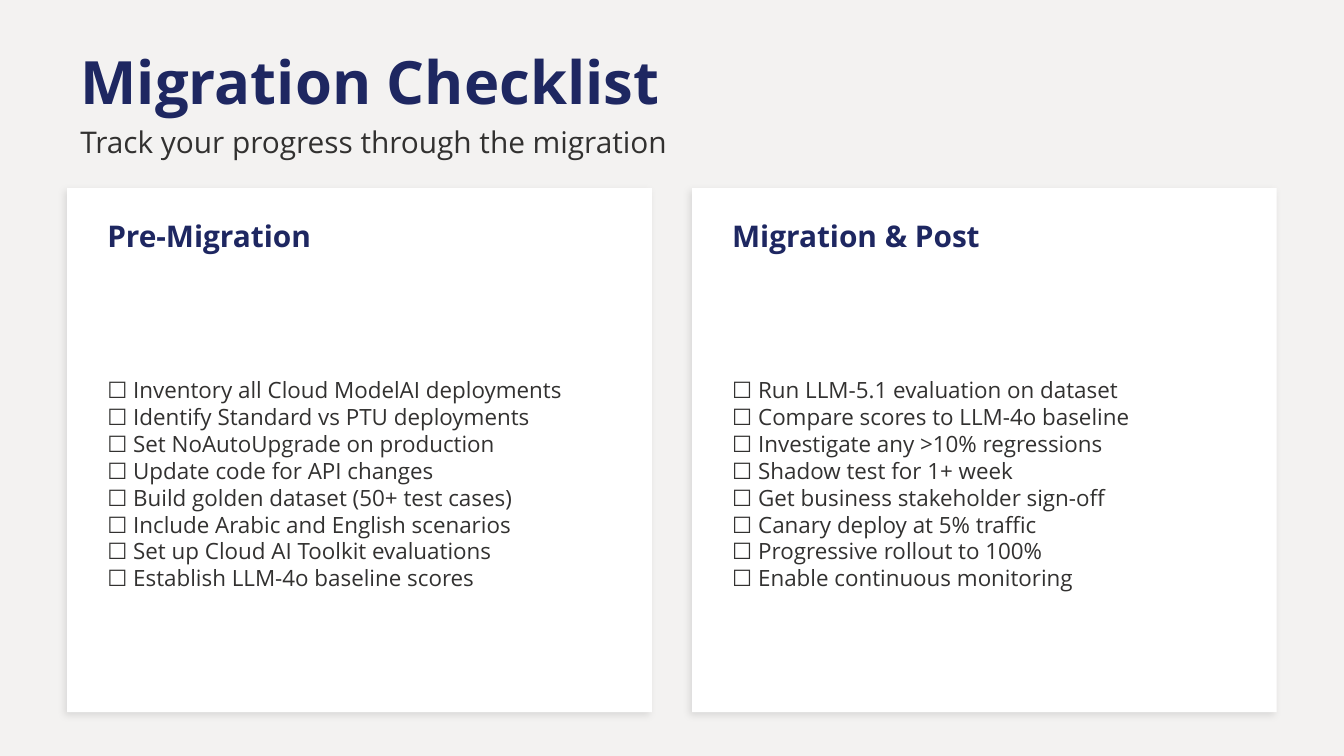
from lxml.etree import SubElement
from pptx import Presentation
from pptx.dml.color import RGBColor
from pptx.enum.shapes import MSO_SHAPE
from pptx.enum.text import MSO_ANCHOR, MSO_AUTO_SIZE, PP_ALIGN
from pptx.oxml.ns import qn
from pptx.util import Inches, Pt

COLORS = {
    "background": "F3F2F1",
    "heading": "1E2761",
    "body": "323130",
    "card": "FFFFFF",
    "shadow": "000000",
}
FORMATS = {
    "title": {"size": Pt(32), "bold": True, "color": "heading"},
    "subtitle": {"size": Pt(16), "bold": False, "color": "body"},
    "card_title": {"size": Pt(16), "bold": True, "color": "heading"},
    "item": {"size": Pt(12), "bold": False, "color": "body"},
}
CHECKLISTS = [
    ("Pre-Migration", [
        "Inventory all Cloud ModelAI deployments",
        "Identify Standard vs PTU deployments",
        "Set NoAutoUpgrade on production",
        "Update code for API changes",
        "Build golden dataset (50+ test cases)",
        "Include Arabic and English scenarios",
        "Set up Cloud AI Toolkit evaluations",
        "Establish LLM-4o baseline scores",
    ]),
    ("Migration & Post", [
        "Run LLM-5.1 evaluation on dataset",
        "Compare scores to LLM-4o baseline",
        "Investigate any >10% regressions",
        "Shadow test for 1+ week",
        "Get business stakeholder sign-off",
        "Canary deploy at 5% traffic",
        "Progressive rollout to 100%",
        "Enable continuous monitoring",
    ]),
]


def rgb(name):
    return RGBColor.from_string(COLORS[name])


def write_text(sp, lines, style):
    tf = sp.text_frame
    tf.word_wrap = True
    tf.auto_size = MSO_AUTO_SIZE.NONE
    tf.vertical_anchor = MSO_ANCHOR.MIDDLE
    for i, line in enumerate(lines):
        p = tf.paragraphs[0] if i == 0 else tf.add_paragraph()
        p.alignment = PP_ALIGN.LEFT
        r = p.add_run()
        r.text = line
        r.font.name = "Open Sans"
        for key, value in FORMATS[style].items():
            if key == "color":
                r.font.color.rgb = rgb(value)
            else:
                setattr(r.font, key, value)


def add_text(s, box, lines, style):
    sp = s.shapes.add_textbox(*map(Inches, box))
    write_text(sp, lines, style)


def add_soft_shadow(sp):
    sp.shadow.inherit = False
    effects = sp._element.spPr.find(qn("a:effectLst"))
    shadow = SubElement(effects, qn("a:outerShdw"), blurRad=str(Pt(4)),
                        dist=str(Pt(2)), dir=str(135 * 60000),
                        algn="bl", rotWithShape="0")
    color = SubElement(shadow, qn("a:srgbClr"), val=COLORS["shadow"])
    SubElement(color, qn("a:alpha"), val="10000")


def add_header(s, x, y, w):
    title = s.shapes.title
    title.left, title.top, title.width, title.height = map(Inches, (x, y, w, 0.6))
    write_text(title, ["Migration Checklist"], "title")
    add_text(s, (x, y + 0.55, w, 0.4),
             ["Track your progress through the migration"], "subtitle")


def add_checklist(s, x, y, w, h, heading, items):
    card = s.shapes.add_shape(MSO_SHAPE.RECTANGLE, *map(Inches, (x, y, w, h)))
    card.fill.solid()
    card.fill.fore_color.rgb = rgb("card")
    card.line.fill.background()
    add_soft_shadow(card)
    text_w = w - 0.35
    add_text(s, (x + 0.2, y + 0.15, text_w, 0.4), [heading], "card_title")
    add_text(s, (x + 0.2, y + 0.6, text_w, h - 0.7),
             [f"☐ {item}" for item in items], "item")


def main():
    prs = Presentation()
    prs.slide_width, prs.slide_height = Inches(10), Inches(10 * 9 / 16)
    s = prs.slides.add_slide(prs.slide_layouts[5])
    s.background.fill.solid()
    s.background.fill.fore_color.rgb = rgb("background")

    margin, gap, width = 0.5, 0.3, 9
    add_header(s, margin, 0.3, width)
    card_w = (width - gap) / 2
    for i, (heading, items) in enumerate(CHECKLISTS):
        add_checklist(s, margin + i * (card_w + gap), 1.4, card_w, 3.9, heading, items)
    prs.save("out.pptx")


if __name__ == "__main__":
    main()
